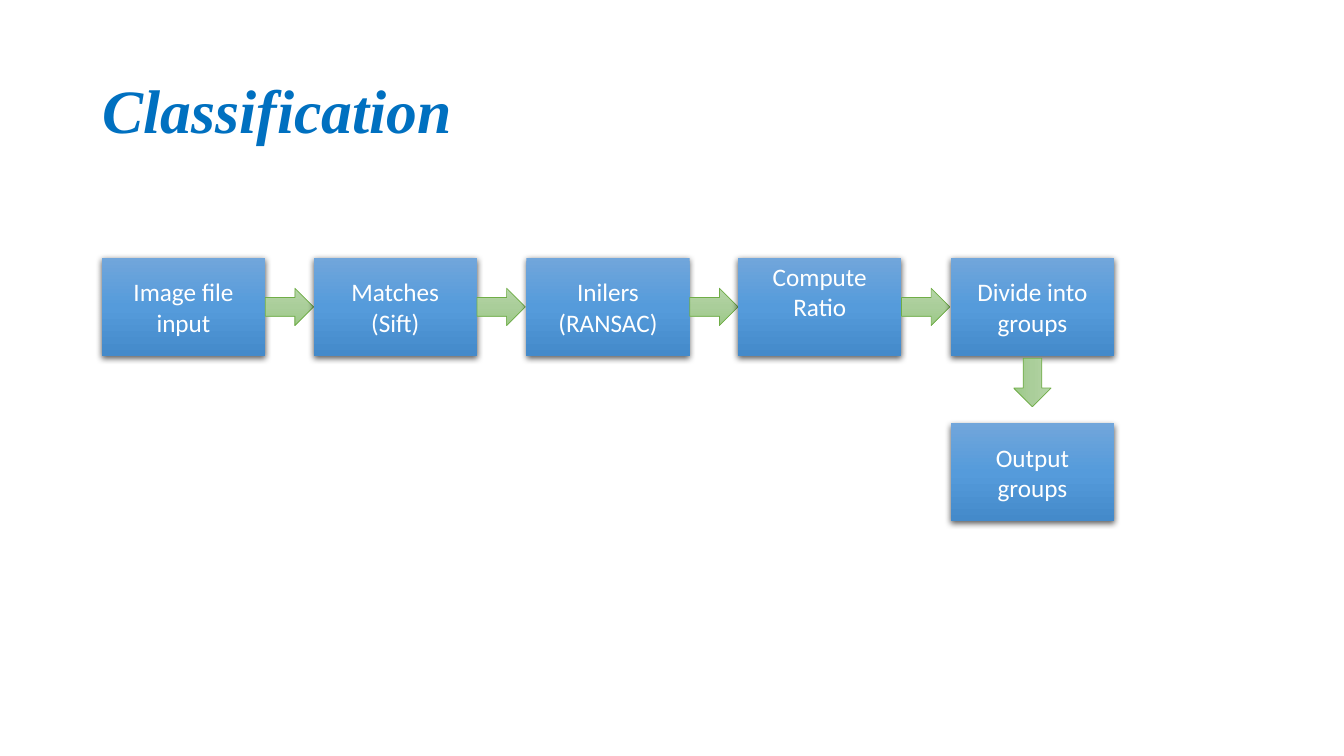
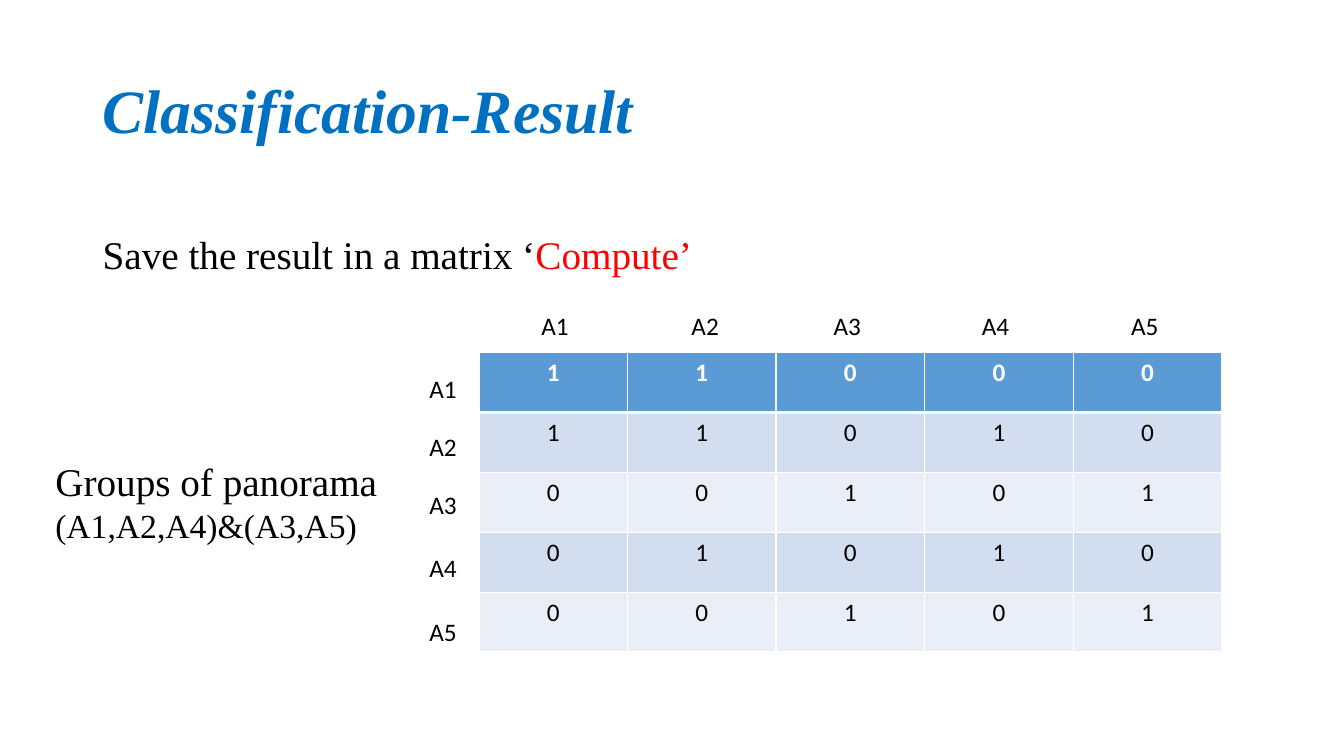
from lxml import etree
from pptx import Presentation
from pptx import util as u
from pptx.dml.color import RGBColor
from pptx.enum import shapes, text
from pptx.oxml import parse_xml
from pptx.oxml.ns import nsdecls, qn

PX = 9144
SLIDE_SIZE = (1333, 750)
SERIF, SANS = "Times New Roman", "Calibri"

TITLE_BLUE = RGBColor(0x00, 0x70, 0xC0)
BLACK = RGBColor(0x00, 0x00, 0x00)
WHITE = RGBColor(0xFF, 0xFF, 0xFF)
RED = RGBColor(0xFF, 0x00, 0x00)
HEADER_BLUE = RGBColor(0x5B, 0x9B, 0xD5)
BAND_COLORS = (RGBColor(0xEA, 0xEF, 0xF7), RGBColor(0xD2, 0xDE, 0xEF))
ARROW_LINE = RGBColor(0x70, 0xAD, 0x47)
BOX_GRADIENT = (RGBColor(0x71, 0xA6, 0xDB), RGBColor(0x55, 0x9B, 0xDB), RGBColor(0x44, 0x8A, 0xCA))
ARROW_GRADIENT = (RGBColor(0xB5, 0xD5, 0xA7), RGBColor(0xAA, 0xCE, 0x9A), RGBColor(0x9C, 0xC9, 0x87))

TITLE_AREA = (92, 40, 1150, 145)
STEPS = [
    (["Image file input"], 5),
    (["Matches", "(Sift)"], 5),
    (["Inilers", "(RANSAC)"], 5),
    (["Compute", "Ratio"], 35),
    (["Divide into groups"], 5),
]
OUTPUT_STEP = ["Output groups"]
FIRST_LEFT, LAST_LEFT = 101, 943
STEP_TOP, OUTPUT_TOP = 256, 420
BOX_WIDTH, BOX_HEIGHT = 162, 97
ARROW_WIDTH, ARROW_HEIGHT = 48, 37
DOWN_ARROW_TOP = 361

MATRIX = [
    (1, 1, 0, 0, 0),
    (1, 1, 0, 1, 0),
    (0, 0, 1, 0, 1),
    (0, 1, 0, 1, 0),
    (0, 0, 1, 0, 1),
]
MATRIX_AREA = (475, 350, 737, 297)
LABELS = ["A1", "A2", "A3", "A4", "A5"]
COLUMN_LABEL_LEFTS = [527, 676, 817, 964, 1112]
ROW_LABEL_TOPS = [365, 423, 481, 543, 607]
COLUMN_LABEL_TOP, ROW_LABEL_LEFT = 303, 416
LABEL_SIZE = (48, 40)


def emu(*lengths):
    return [u.Emu(length * PX) for length in lengths]


def add_run(paragraph, words, size, font, color, bold=False, italic=False):
    run = paragraph.add_run()
    run.text = words
    run.font.size = u.Pt(size)
    run.font.name = font
    run.font.color.rgb = color
    run.font.bold = bold
    run.font.italic = italic


def next_paragraph(frame, index):
    return frame.add_paragraph() if index else frame.paragraphs[0]


def add_text(slide, area, paragraphs, wrap=True):
    frame = slide.shapes.add_textbox(*emu(*area)).text_frame
    frame.word_wrap = wrap
    for index, runs in enumerate(paragraphs):
        paragraph = next_paragraph(frame, index)
        for run in runs:
            add_run(paragraph, *run)
    return frame


def add_titled_slide(presentation, title):
    slide = presentation.slides.add_slide(presentation.slide_layouts[6])
    frame = add_text(slide, TITLE_AREA, [[(title, 44, SERIF, TITLE_BLUE, True, True)]])
    frame.vertical_anchor = text.MSO_ANCHOR.MIDDLE
    frame.paragraphs[0].line_spacing = 0.9
    return slide


def add_gradient_shape(slide, kind, area, colors):
    shape = slide.shapes.add_shape(kind, *emu(*area))
    stops = "".join(
        f'<a:gs pos="{index * 50000}"><a:srgbClr val="{color}"/></a:gs>'
        for index, color in enumerate(colors)
    )
    gradient = parse_xml(
        f'<a:gradFill {nsdecls("a")} rotWithShape="1"><a:gsLst>{stops}</a:gsLst>'
        '<a:lin ang="5400000" scaled="0"/></a:gradFill>'
    )
    properties = shape._element.spPr
    properties.find(qn("a:prstGeom")).addnext(gradient)
    shape.shadow.inherit = False
    return shape


def add_box(slide, left, top, lines, bottom_margin=5):
    area = (left, top, BOX_WIDTH, BOX_HEIGHT)
    box = add_gradient_shape(slide, shapes.MSO_SHAPE.RECTANGLE, area, BOX_GRADIENT)
    box.line.fill.background()
    effects = box._element.spPr.find(qn("a:effectLst"))
    effects.append(parse_xml(
        f'<a:outerShdw {nsdecls("a")} blurRad="57150" dist="19050" dir="5400000" '
        'algn="ctr" rotWithShape="0"><a:srgbClr val="000000">'
        '<a:alpha val="63000"/></a:srgbClr></a:outerShdw>'
    ))
    frame = box.text_frame
    frame.word_wrap = True
    frame.vertical_anchor = text.MSO_ANCHOR.MIDDLE
    frame.margin_bottom = emu(bottom_margin)[0]
    for index, line in enumerate(lines):
        paragraph = next_paragraph(frame, index)
        paragraph.alignment = text.PP_ALIGN.CENTER
        add_run(paragraph, line, 18, SANS, WHITE)


def add_arrow(slide, left, top, rotation=0):
    area = (left, top, ARROW_WIDTH, ARROW_HEIGHT)
    arrow = add_gradient_shape(slide, shapes.MSO_SHAPE.RIGHT_ARROW, area, ARROW_GRADIENT)
    arrow.line.color.rgb = ARROW_LINE
    arrow.line.width = u.Pt(0.5)
    arrow.rotation = rotation


def add_cell_borders(cell, top, bottom):
    properties = cell._tc.get_or_add_tcPr()
    for side, points in (("L", 1), ("R", 1), ("T", top), ("B", bottom)):
        line = etree.SubElement(properties, qn(f"a:ln{side}"), w=str(u.Pt(points)))
        fill = etree.SubElement(line, qn("a:solidFill"))
        etree.SubElement(fill, qn("a:srgbClr"), val=str(WHITE))


def add_matrix(slide):
    table = slide.shapes.add_table(len(MATRIX), len(MATRIX[0]), *emu(*MATRIX_AREA)).table
    for row, values in enumerate(MATRIX):
        header = row == 0
        for column, value in enumerate(values):
            cell = table.cell(row, column)
            add_cell_borders(cell, 3 if row == 1 else 1, 3 if header else 1)
            cell.fill.solid()
            cell.fill.fore_color.rgb = HEADER_BLUE if header else BAND_COLORS[row % 2]
            paragraph = cell.text_frame.paragraphs[0]
            paragraph.alignment = text.PP_ALIGN.CENTER
            add_run(paragraph, str(value), 18, SANS, WHITE if header else BLACK, header)


def build_flow(presentation):
    slide = add_titled_slide(presentation, "Classification")
    last = len(STEPS) - 1
    arrow_top = STEP_TOP + (BOX_HEIGHT - ARROW_HEIGHT) // 2
    for index, (lines, bottom_margin) in enumerate(STEPS):
        left = FIRST_LEFT + (LAST_LEFT - FIRST_LEFT) * index // last
        add_box(slide, left, STEP_TOP, lines, bottom_margin)
        if index < last:
            add_arrow(slide, left + BOX_WIDTH, arrow_top)
    add_box(slide, LAST_LEFT, OUTPUT_TOP, OUTPUT_STEP)
    add_arrow(slide, LAST_LEFT + (BOX_WIDTH - ARROW_WIDTH) // 2, DOWN_ARROW_TOP, 90)


def build_result(presentation):
    slide = add_titled_slide(presentation, "Classification-Result")
    add_text(slide, (92, 224, 642, 151), [[
        ("Save the result in a matrix ‘", 28, SERIF, BLACK),
        ("Compute’", 28, SERIF, RED),
    ]])
    add_matrix(slide)
    for label, left, top in zip(LABELS, COLUMN_LABEL_LEFTS, ROW_LABEL_TOPS):
        for corner in ((left, COLUMN_LABEL_TOP), (ROW_LABEL_LEFT, top)):
            add_text(slide, corner + LABEL_SIZE, [[(label, 18, SANS, BLACK)]], wrap=False)
    add_text(slide, (45, 449, 371, 98), [
        [("Groups of panorama", 28, SERIF, BLACK)],
        [("(A1,A2,A4)&(A3,A5)", 24, SERIF, BLACK)],
    ])


def main():
    presentation = Presentation()
    presentation.slide_width, presentation.slide_height = emu(*SLIDE_SIZE)
    build_flow(presentation)
    build_result(presentation)
    presentation.save("out.pptx")


if __name__ == "__main__":
    main()
